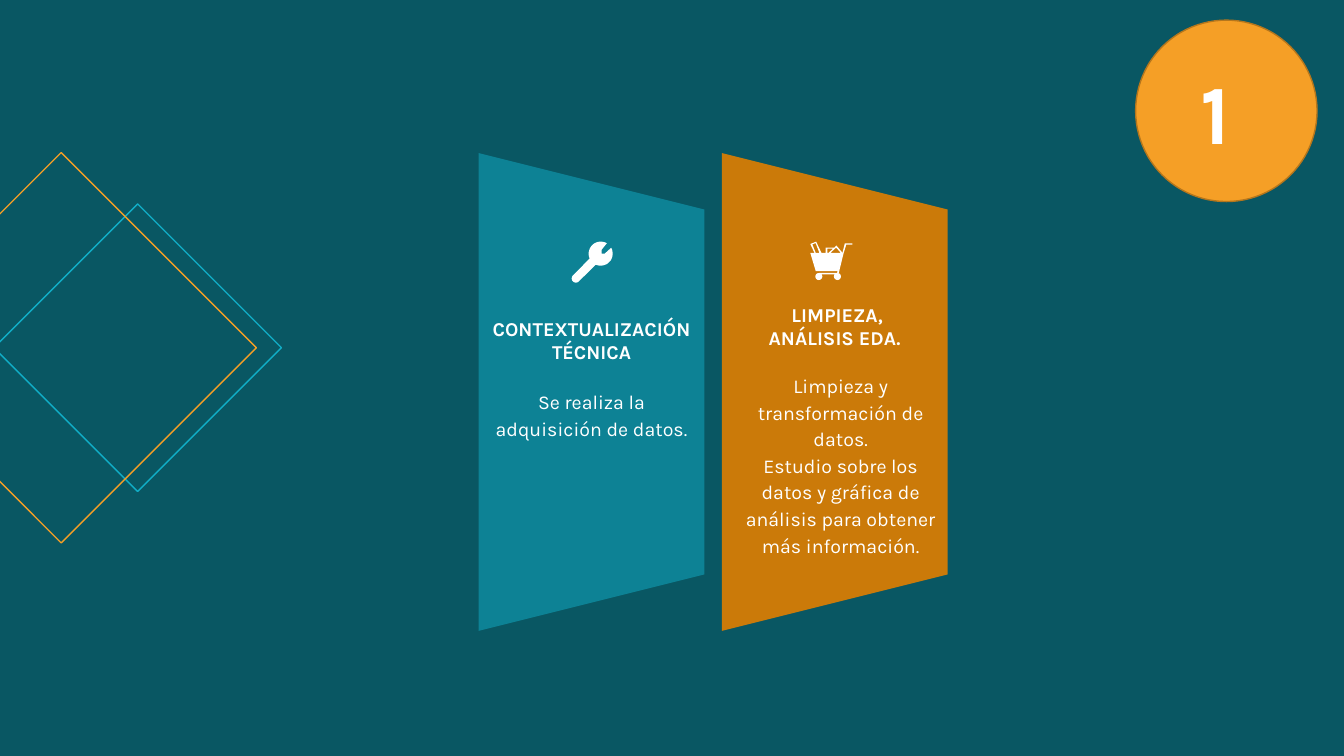
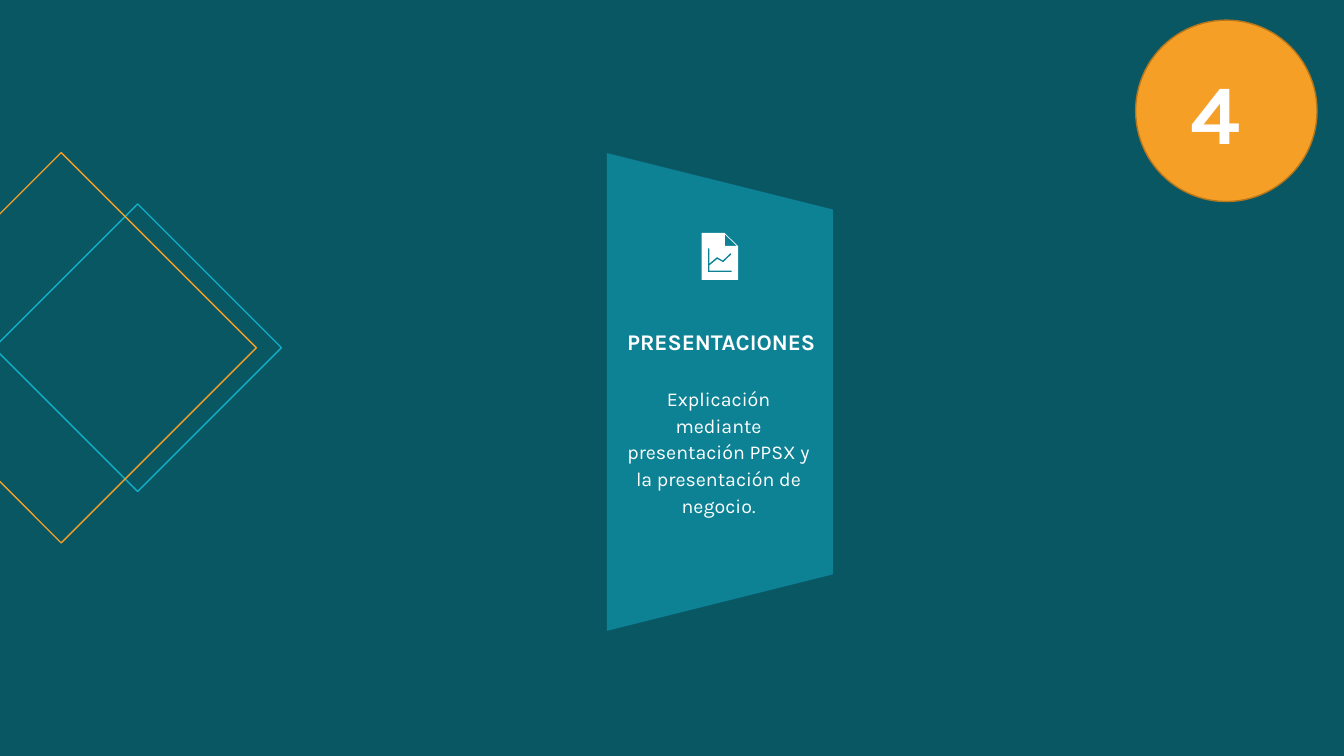
from math import cos, radians, sin

from pptx import Presentation
from pptx.dml.color import RGBColor
from pptx.enum.shapes import MSO_SHAPE
from pptx.enum.text import MSO_ANCHOR, PP_ALIGN
from pptx.util import Pt

OVAL, DIAMOND, TRAPEZOID = MSO_SHAPE.OVAL, MSO_SHAPE.DIAMOND, MSO_SHAPE.TRAPEZOID
CENTER, MIDDLE, TOP = PP_ALIGN.CENTER, MSO_ANCHOR.MIDDLE, MSO_ANCHOR.TOP

FONT = "Karla"
WHITE, NIGHT, TEAL, CYAN = "FFFFFF", "095763", "0D8295", "11AEC7"
AMBER, RUST, BROWN = "F59F26", "CB7A09", "B5761C"

WIDE, HIGH = 960, 540
PANEL_W, PANEL_H, PANEL_MID = 161.3, 341.3, 280
BODY_W = 138.2


def color(code):
    return RGBColor.from_string(code)


def paint(shape, fill=None, line=None):
    shape.shadow.inherit = False
    if fill:
        shape.fill.solid()
        shape.fill.fore_color.rgb = color(fill)
    else:
        shape.fill.background()
    if line:
        shape.line.color.rgb = color(line)
        shape.line.width = Pt(1)
    else:
        shape.line.fill.background()


def add_form(slide, kind, box, **style):
    shape = slide.shapes.add_shape(kind, *map(Pt, box))
    paint(shape, **style)
    return shape


def write(frame, text, size=14, bold=False, lead=None, anchor=TOP):
    """Fill a text frame, one paragraph for each line of text."""
    frame.word_wrap = True
    frame.vertical_anchor = anchor
    for i, line in enumerate(text.split("\n")):
        para = frame.add_paragraph() if i else frame.paragraphs[0]
        para.alignment = CENTER
        if lead:
            para.line_spacing = Pt(lead)
        run = para.add_run()
        run.text = line
        run.font.name = FONT
        run.font.size = Pt(size)
        run.font.bold = bold
        run.font.color.rgb = color(WHITE)


def add_text(slide, box, text, **style):
    frame = slide.shapes.add_textbox(*map(Pt, box)).text_frame
    frame.margin_left = frame.margin_right = 0
    frame.margin_top = frame.margin_bottom = 0
    write(frame, text, **style)


def arc(x, y, radius, start, end, steps=16):
    """Points along an arc; angles in degrees, clockwise from the right."""
    turns = [radians(start + (end - start) * i / steps) for i in range(steps + 1)]
    return [(x + radius * cos(t), y + radius * sin(t)) for t in turns]


def add_icon(slide, left, top, paths):
    """Draw closed outlines as one white shape; inner outlines are holes."""
    paths = [[(10 * x, 10 * y) for x, y in path] for path in paths]
    build = slide.shapes.build_freeform(*paths[0][0], scale=Pt(1) / 10)
    for i, path in enumerate(paths):
        if i:
            build.move_to(*path[0])
        build.add_line_segments(path[1:], close=True)
    paint(build.convert_to_shape(Pt(left), Pt(top)), fill=WHITE)


WRENCH = [
    arc(20.9, 8.6, 8.6, -59, -204)
    + arc(3.2, 26.3, 3, -135, -315)
    + arc(20.9, 8.6, 8.6, -246, -389)
    + [(23.8, 8.6), (21.6, 8.6), (21.6, 5.8)],
]
CART = [
    [(30, 1.2), (24.7, 1.2), (23, 8), (18.7, 2.8), (17.3, 4.2), (10.9, 4.2),
     (10.9, 8), (8, 8), (4.2, 0), (0, 1.7), (3, 8), (0, 8), (3.9, 21),
     (19.4, 21), (19.2, 22.4)]
    + arc(6.1, 24.9, 2.5, -90, -400)
    + arc(19.4, 24.9, 2.5, -140, -430)
    + [(20.7, 21), (23.7, 8.7), (25.7, 2.2), (30, 2.2)],
    [(14.4, 8), (18.5, 4.3), (21.8, 8)],
    [(12.2, 8), (12.2, 5), (16.3, 5), (13, 8)],
    [(3.9, 8), (1.5, 2), (3.8, 1), (6.5, 8)],
]
REPORT = [
    [(0, 0), (16.4, 0), (26.1, 9.4), (26.1, 33.6), (0, 33.6)],
    [(16.6, 9.2), (16.6, 0.9), (25.2, 9.2)],
    [(4.5, 28), (4.5, 11), (5.6, 11), (5.6, 21.8), (11, 17.2), (15.2, 19.6),
     (20.6, 14.4), (21.5, 15.2), (15.5, 21), (11.2, 18.7), (5.6, 23.3),
     (5.6, 26.9), (21.5, 26.9), (21.5, 28)],
]


def add_panel(slide, mid, fill):
    """Add a trapezoid turned so that its short side faces right."""
    box = (mid - PANEL_H / 2, PANEL_MID - PANEL_W / 2, PANEL_H, PANEL_W)
    add_form(slide, TRAPEZOID, box, fill=fill).rotation = 90


def add_head(slide, left, top, width, text, size=14):
    add_text(slide, (left, top, width, 34), text, size=size, bold=True)


def add_body(slide, left, top, lines, text):
    add_text(slide, (left, top, BODY_W, 19 * lines), text, lead=19)


def add_page(deck, number):
    """Add a slide with the shared backdrop, diamonds and number badge."""
    slide = deck.slides.add_slide(deck.slide_layouts[6])
    back = slide.background.fill
    back.solid()
    back.fore_color.rgb = color(NIGHT)
    badge = add_form(slide, OVAL, (811.2, 14.4, 129.6, 129.6),
                     fill=AMBER, line=BROWN)
    write(badge.text_frame, f"{number} ", size=60, bold=True, anchor=MIDDLE)
    for mid, side, line in ((98.4, 205.4, CYAN), (43.7, 278.8, AMBER)):
        box = (mid - side / 2, 248.4 - side / 2, side, side)
        add_form(slide, DIAMOND, box, line=line)
    return slide


def add_start(deck):
    slide = add_page(deck, 1)
    add_panel(slide, 422.5, TEAL)
    add_icon(slide, 408.2, 172.6, WRENCH)
    add_head(slide, 344.9, 226.1, 155.5, "CONTEXTUALIZACIÓN TÉCNICA")
    add_body(slide, 353.5, 276.5, 2, "Se realiza la adquisición de datos.")
    add_panel(slide, 596.3, RUST)
    add_icon(slide, 578.8, 172.6, CART)
    add_head(slide, 536.4, 216, 123.1, "LIMPIEZA, ANÁLISIS EDA. ")
    add_body(slide, 531.4, 265, 7,
             "Limpieza y transformación de datos.\n"
             "Estudio sobre los datos y gráfica de análisis "
             "para obtener más información.")


def add_close(deck):
    slide = add_page(deck, 4)
    add_panel(slide, 514.2, TEAL)
    add_icon(slide, 501.1, 166.4, REPORT)
    add_head(slide, 447.1, 234.7, 136.1, "PRESENTACIONES", size=16)
    add_body(slide, 444.2, 274.3, 5,
             "Explicación mediante presentación PPSX y "
             "la presentación de negocio.")


def main():
    deck = Presentation()
    deck.slide_width, deck.slide_height = Pt(WIDE), Pt(HIGH)
    add_start(deck)
    add_close(deck)
    deck.save("out.pptx")


if __name__ == "__main__":
    main()
